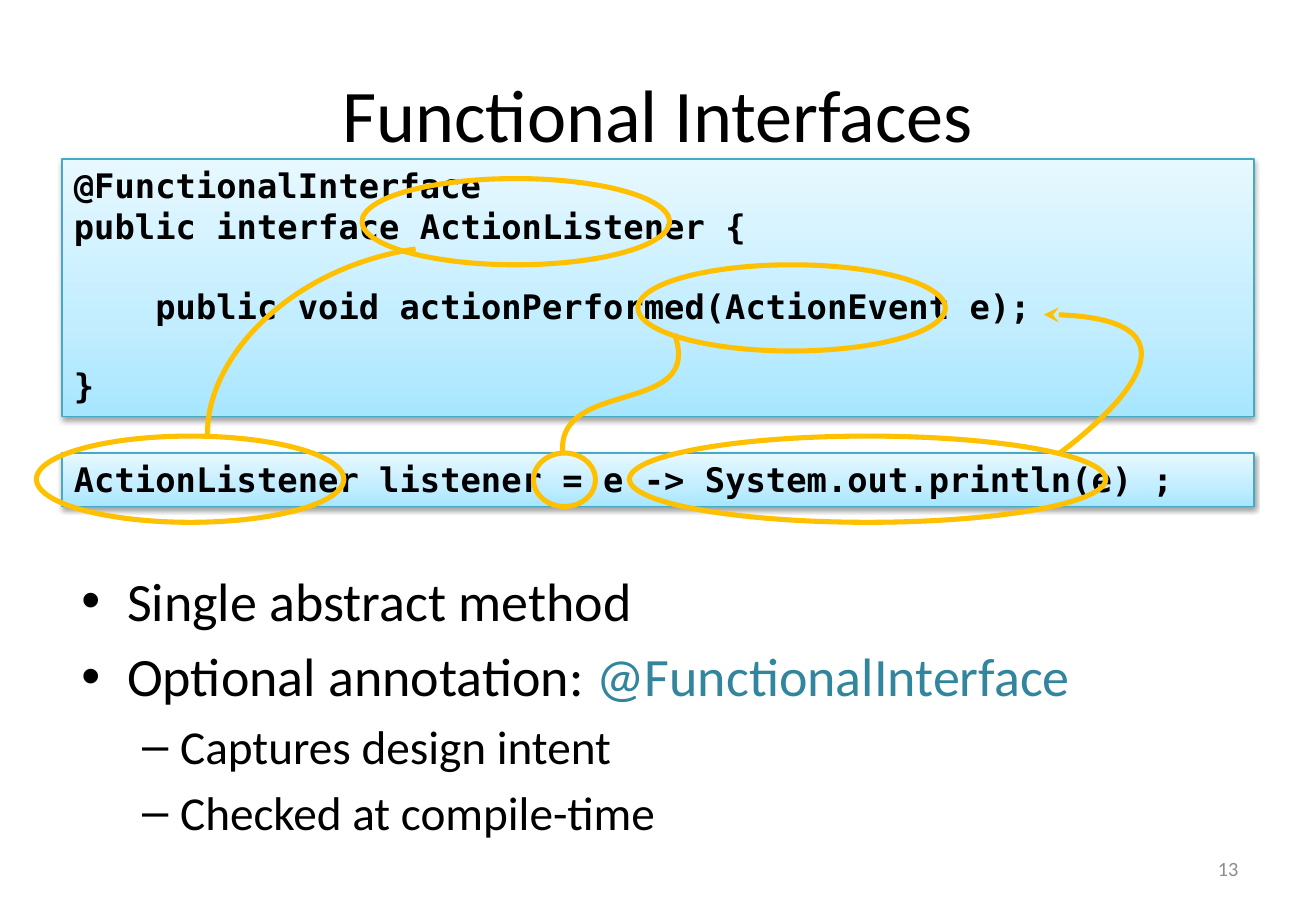
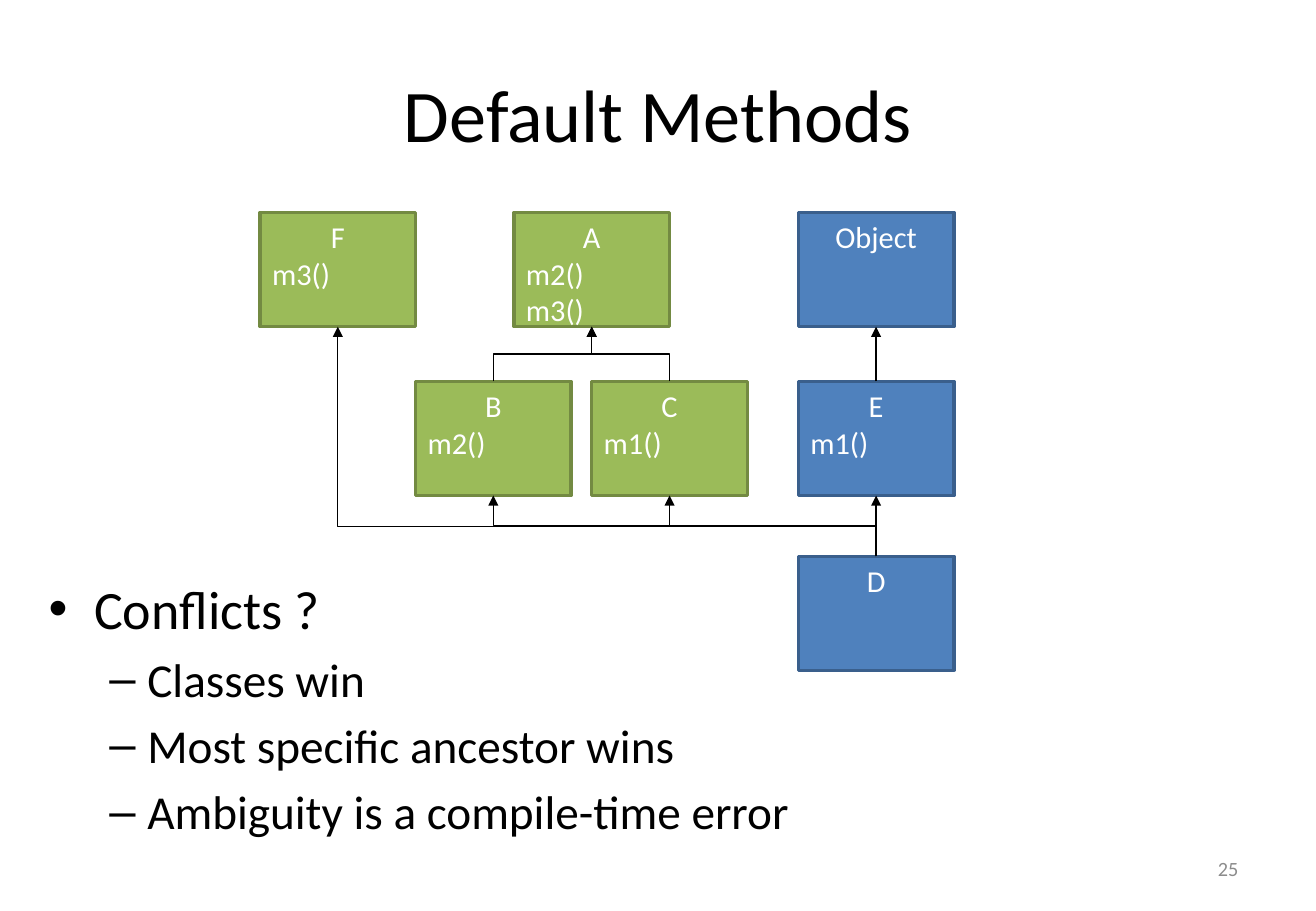
"""Build two slides on Java functional interfaces and default methods."""
from copy import deepcopy
from pptx import Presentation
from pptx import util as u
from pptx.dml.color import RGBColor
from pptx.enum import shapes, text
from pptx.oxml import parse_xml
from pptx.oxml.ns import nsdecls
from pptx.oxml.xmlchemy import OxmlElement

BLACK, WHITE, GREY = "000000", "FFFFFF", "8C8C8C"
TEAL, AMBER, CYAN = "31859C", "FFC000", "46AAC5"
CLASS, INTERFACE = ("4F81BD", "3A5F8C"), ("9BBB59", "738A42")
CODE_FILL = [(0, "A7E6FF"), (0.35, "C1EDFF"), (1, "E7F8FF")]
MONO, SANS = "DejaVu Sans Mono", "Calibri"
RECT, OVAL = shapes.MSO_SHAPE.RECTANGLE, shapes.MSO_SHAPE.OVAL
LEFT, CENTER, RIGHT = text.PP_ALIGN.LEFT, text.PP_ALIGN.CENTER, text.PP_ALIGN.RIGHT
rgb = RGBColor.from_string


def write(tf, words, size=None, color=BLACK, font=SANS, bold=None, align=None,
          level=0, before=None, indent=None):
    """Add a formatted paragraph to a text frame."""
    p = tf.add_paragraph() if tf.text else tf.paragraphs[0]
    p.level, p.alignment = level, align
    if before:
        p.space_before = u.Pt(before)
    if indent:
        p._p.get_or_add_pPr().set("marL", str(u.Inches(indent)))
    r = p.add_run()
    r.text = words
    r.font.name, r.font.bold, r.font.color.rgb = font, bold, rgb(color)
    if size:
        r.font.size = u.Pt(size)
    return p


def style(sp, line, width, fill=None):
    """Set outline and fill, and drop the theme shadow."""
    sp.shadow.inherit = False
    sp.line.color.rgb, sp.line.width = rgb(line), u.Pt(width)
    if fill:
        sp.fill.solid()
        sp.fill.fore_color.rgb = rgb(fill)
    else:
        sp.fill.background()
    sp.text_frame.word_wrap = True
    sp.text_frame.vertical_anchor = text.MSO_ANCHOR.TOP
    return sp.text_frame


prs = Presentation()
prs.slide_width, prs.slide_height = u.Inches(10.83), u.Inches(7.5)
layout = prs.slide_layouts[1]
title = layout.placeholders[0]
title.left, title.top, title.width, title.height = map(u.Inches, (0.54, 0.3, 9.75, 1.25))

pages = [
    ("Functional Interfaces", "13", (0.57, 4.62, 9.75, 2.52),
     [("Single abstract method", 0), ("Optional annotation: ", 0),
      ("Captures design intent", 1), ("Checked at compile-time", 1)]),
    ("Default Methods", "25", (0.3, 4.69, 8.02, 2.56),
     [("Conflicts ?", 0), ("Classes win", 1), ("Most specific ancestor wins", 1),
      ("Ambiguity is a compile-time error", 1)]),
]
for heading, number, place, items in pages:
    s = prs.slides.add_slide(layout)
    write(s.shapes.title.text_frame, heading, size=44, align=CENTER)
    body = s.placeholders[1]
    body.left, body.top, body.width, body.height = map(u.Inches, place)
    body.text_frame.auto_size = text.MSO_AUTO_SIZE.NONE
    for words, level in items:
        p = write(body.text_frame, words, size=28 if level else 32, level=level)
        if words.startswith("Optional"):
            r = p.add_run()
            r.text = "@FunctionalInterface"
            r.font.name, r.font.size, r.font.color.rgb = SANS, u.Pt(32), rgb(TEAL)
    sp = s.shapes.add_textbox(*map(u.Inches, (7.76, 6.95, 2.53, 0.4)))
    sp.text_frame.word_wrap = True
    sp.text_frame.vertical_anchor = text.MSO_ANCHOR.MIDDLE
    write(sp.text_frame, number, size=12, color=GREY, align=RIGHT)

lambdas, defaults = prs.slides

listings = [
    (1.31, 2.12, [("@FunctionalInterface", {}),
                  ("public interface ActionListener {", {}),
                  ("public void actionPerformed(ActionEvent e);",
                   {"before": 23.3, "indent": 0.67}),
                  ("}", {"before": 23.3})]),
    (3.73, 0.44, [("ActionListener listener = e -> System.out.println(e) ;", {})]),
]
for top, height, lines in listings:
    sp = lambdas.shapes.add_shape(RECT, *map(u.Inches, (0.51, top, 9.81, height)))
    tf = style(sp, CYAN, 0.75)
    sp.fill.gradient()
    sp.fill.gradient_angle = 90
    first = sp.fill.gradient_stops[0]._gs
    first.addnext(deepcopy(first))
    for stop, (position, color) in zip(sp.fill.gradient_stops, CODE_FILL):
        stop.position, stop.color.rgb = position, rgb(color)
    sp._element.spPr.find(".//{*}effectLst").append(parse_xml(
        f'<a:outerShdw {nsdecls("a")} blurRad="{u.Pt(3.1)}" dist="{u.Pt(1.6)}" '
        'dir="5400000" rotWithShape="0"><a:srgbClr val="000000">'
        '<a:alpha val="38000"/></a:srgbClr></a:outerShdw>'))
    for words, spacing in lines:
        write(tf, words, size=20, font=MONO, bold=True, align=LEFT, **spacing)

rings = [(5.18, 3.59, 3.92, 0.71), (4.39, 3.73, 0.51, 0.44), (0.3, 3.59, 2.53, 0.71),
         (2.98, 1.47, 2.53, 0.71), (5.25, 2.18, 2.53, 0.71)]
for ring in rings:
    style(lambdas.shapes.add_shape(OVAL, *map(u.Inches, ring)), AMBER, 3)

curves = [
    ([(4.63, 3.72), (4.59, 3.11), (5.8, 3.43), (5.55, 2.75)], None),
    ([(1.71, 3.61), (1.67, 2.99), (2.35, 2.21), (3.42, 2.05)], None),
    ([(8.72, 3.73), (9.06, 3.48), (10.11, 2.59), (8.59, 2.59)], "stealth"),
]
for points, head in curves:
    start, *rest = [(u.Inches(x), u.Inches(y)) for x, y in points]
    builder = lambdas.shapes.build_freeform(*start)
    builder.add_line_segments(rest, close=False)
    sp = builder.convert_to_shape()
    style(sp, AMBER, 3)
    segments = sp._element.xpath(".//a:lnTo")
    bezier = OxmlElement("a:cubicBezTo")
    segments[0].addprevious(bezier)
    for segment in segments:
        bezier.append(segment[0])
        segment.getparent().remove(segment)
    if head:
        tail = OxmlElement("a:tailEnd")
        tail.set("type", head)
        sp.line._get_or_add_ln().append(tail)

WIDTH, HEIGHT = 1.28, 0.94
ROWS = [1.75, 3.14, 4.58]
types = {
    "F": (2.14, 0, INTERFACE, ["m3()"]),
    "A": (4.23, 0, INTERFACE, ["m2()", "m3()"]),
    "Object": (6.57, 0, CLASS, []),
    "B": (3.42, 1, INTERFACE, ["m2()"]),
    "C": (4.87, 1, INTERFACE, ["m1()"]),
    "E": (6.57, 1, CLASS, ["m1()"]),
    "D": (6.57, 2, CLASS, []),
}
for name, (left, row, (fill, line), methods) in types.items():
    sp = defaults.shapes.add_shape(RECT, *map(u.Inches, (left, ROWS[row], WIDTH, HEIGHT)))
    tf = style(sp, line, 2, fill)
    write(tf, name, size=18, color=WHITE, align=CENTER)
    for method in methods:
        write(tf, method, size=18, color=WHITE, align=LEFT)

parents = [("D", "C"), ("D", "B"), ("B", "A"), ("C", "A"), ("D", "F"),
           ("E", "Object"), ("D", "E")]
for child, parent in parents:
    x1, y1 = types[child][0] + WIDTH / 2, ROWS[types[child][1]]
    x2, y2 = types[parent][0] + WIDTH / 2, ROWS[types[parent][1]] + HEIGHT
    bent = x1 != x2
    kind, ends = shapes.MSO_CONNECTOR.STRAIGHT, (x1, y1, x2, y2)
    if bent:
        kind = shapes.MSO_CONNECTOR.ELBOW
        cx, cy, dx, dy = (x1 + x2) / 2, (y1 + y2) / 2, (x2 - x1) / 2, (y1 - y2) / 2
        ends = (cx - dy, cy - dx, cx + dy, cy + dx)
    sp = defaults.shapes.add_connector(kind, *map(u.Inches, ends))
    spPr = sp._element.spPr
    if bent:
        spPr.find("{*}xfrm").set("rot", "16200000")
        share = 0.129 if parent == "F" else 0.5
        guide = OxmlElement("a:gd")
        guide.set("name", "adj1")
        guide.set("fmla", f"val {round(share * 100000)}")
        spPr.find(".//{*}avLst").append(guide)
    sp.line.color.rgb, sp.line.width = rgb(BLACK), u.Pt(0.75)
    tail = OxmlElement("a:tailEnd")
    tail.set("type", "triangle")
    sp.line._get_or_add_ln().append(tail)
    spPr.append(OxmlElement("a:effectLst"))

prs.save("out.pptx")
